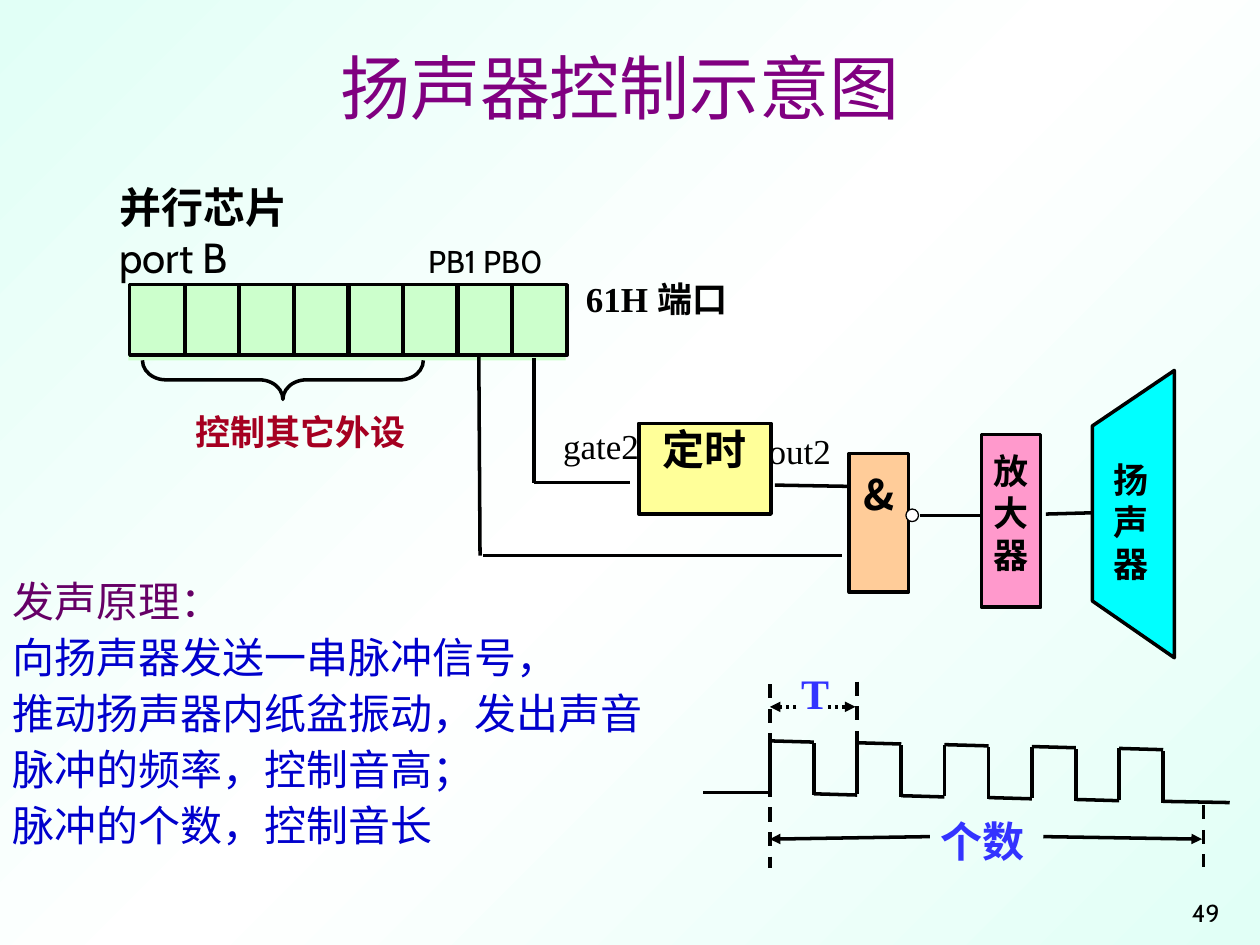
from copy import deepcopy

from lxml.etree import SubElement
from pptx import Presentation
from pptx.dml.color import RGBColor
from pptx.enum.dml import MSO_LINE
from pptx.enum.shapes import MSO_CONNECTOR, MSO_SHAPE
from pptx.enum.text import MSO_ANCHOR, PP_ALIGN
from pptx.oxml.ns import qn
from pptx.util import Inches, Pt

THEME = {
    "ink": "000000", "title": "800080", "heading": "660066", "body": "0000CC",
    "warning": "A50021", "signal": "3333FF", "port": "CCFFCC", "timer": "FFFF99",
    "gate": "FFCC99", "amplifier": "FF99CC", "speaker": "00FFFF", "white": "FFFFFF",
    "edge": "E1FFF6", "sans": "Cabin", "serif": "Times New Roman",
    "cjk": "Noto Sans CJK SC", "title_size": 40, "large": 24, "medium": 20,
    "small": 18, "number": 14, "stroke": 2, "thin": 0.75,
}

deck = Presentation()
deck.slide_width, deck.slide_height = Inches(10), Inches(7.5)
COL, ROW = deck.slide_width / 100, deck.slide_height / 75
slide = deck.slides.add_slide(deck.slide_layouts[6])

backdrop = slide.background.fill
backdrop.gradient()
backdrop.gradient_angle = 315
for stop, tone in zip(backdrop.gradient_stops, ("edge", "white")):
    stop.color.rgb = RGBColor.from_string(THEME[tone])
stop_list = next(slide.element.iter(qn("a:gsLst")))
stop_list.append(deepcopy(stop_list[0]))
for stop, position in zip(stop_list, (0, 50000, 100000)):
    stop.set("pos", str(position))


def place(box, text="", fill=None, stroke=None, font="serif", size="medium", color="ink",
          bold=False, align=PP_ALIGN.LEFT, insets=(0, 0), anchor=MSO_ANCHOR.TOP,
          kind=MSO_SHAPE.RECTANGLE, leading=None):
    left, top, width, height = box
    frame = (round(left * COL), round(top * ROW), round(width * COL), round(height * ROW))
    if fill or stroke:
        item = slide.shapes.add_shape(kind, *frame)
        item.shadow.inherit = False
        if fill:
            item.fill.solid()
            item.fill.fore_color.rgb = RGBColor.from_string(THEME[fill])
        else:
            item.fill.background()
        if stroke:
            item.line.color.rgb = RGBColor.from_string(THEME["ink"])
            item.line.width = Pt(THEME[stroke])
        else:
            item.line.fill.background()
    else:
        item = slide.shapes.add_textbox(*frame)
    if not text:
        return item
    words = item.text_frame
    words.text = text
    words.word_wrap = True
    words.vertical_anchor = anchor
    words.margin_left, words.margin_top = round(insets[0] * COL), round(insets[1] * ROW)
    words.margin_right = words.margin_bottom = 0
    for paragraph in words.paragraphs:
        paragraph.alignment = align
        if leading:
            paragraph.line_spacing = Pt(leading)
        for run in paragraph.runs:
            run.font.size, run.font.bold = Pt(THEME[size]), bold
            run.font.color.rgb = RGBColor.from_string(THEME[color])
            run.font.name = THEME[font]
            SubElement(run.font._element, qn("a:ea"), typeface=THEME["cjk"])
    return item


def wire(x1, y1, x2, y2, dash=None, arrow=False):
    link = slide.shapes.add_connector(MSO_CONNECTOR.STRAIGHT, round(x1 * COL), round(y1 * ROW),
                                      round(x2 * COL), round(y2 * ROW))
    link.line.color.rgb = RGBColor.from_string(THEME["ink"])
    link.line.width = Pt(THEME["stroke"])
    if dash:
        link.line.dash_style = dash
    if arrow:
        SubElement(link.line._get_or_add_ln(), qn("a:tailEnd"), type="triangle")
    SubElement(link._element.spPr, qn("a:effectLst"))


CENTER = PP_ALIGN.CENTER
place((74.2, 70.3, 22.6, 3.3), "49", font="sans", size="number",
      align=PP_ALIGN.RIGHT, anchor=MSO_ANCHOR.BOTTOM)
place((6.6, 4.1, 85.2, 6.1), "扬声器控制示意图", font="sans", size="title_size",
      color="title", align=CENTER, anchor=MSO_ANCHOR.BOTTOM)

place((10.2, 22.5, 34.7, 6.1), fill="port")
for bit in range(8):
    place((10.3 + 4.33 * bit, 22.6, 4.4, 5.6), stroke="stroke")
place((45.3, 22, 19.5, 6.8), "61H 端口", bold=True, insets=(1.2, 0))

place((50.7, 33.6, 10.5, 7.2), "定时", "timer", "stroke", size="large",
      bold=True, align=CENTER)
place((67.4, 36, 4.7, 11), "&", "gate", "stroke", font="cjk", size="large",
      bold=True, align=CENTER, insets=(0, 1.2))
place((77.9, 34.5, 4.7, 13.7), "放\n大\n器", "amplifier", "stroke", font="cjk",
      bold=True, align=CENTER, insets=(0, 1.2), leading=24)

outline = slide.shapes.build_freeform(round(93.2 * COL), round(29.4 * ROW))
outline.add_line_segments([(round(x * COL), round(y * ROW))
                           for x, y in ((86.7, 33.8), (86.7, 47.7), (93.2, 52.2))])
speaker = outline.convert_to_shape()
speaker.shadow.inherit = False
speaker.fill.solid()
speaker.fill.fore_color.rgb = RGBColor.from_string(THEME["speaker"])
speaker.line.color.rgb = RGBColor.from_string(THEME["ink"])
speaker.line.width = Pt(THEME["stroke"])
place((87.4, 34.4, 4.7, 16.6), "扬\n声\n器", font="cjk", bold=True, align=CENTER,
      insets=(0, 2), leading=24)

for ends in (
    (42.4, 28.4, 42.4, 38.3), (42.4, 38.3, 50, 38.3), (61.5, 38.5, 67.3, 38.6),
    (38, 28.3, 38.1, 44.1), (38.3, 44.1, 66.8, 44.1), (73, 40.9, 77.9, 40.9),
    (83, 40.8, 86.7, 40.7),
):
    wire(*ends)
place((71.9, 40.4, 1, 1), fill="white", stroke="thin", kind=MSO_SHAPE.OVAL)
place((43.5, 33.7, 9, 4.1), "gate2", insets=(1.2, 0))
place((59.8, 34.1, 8.2, 3.8), "out2", insets=(1.2, 0))

brace = place((20.9, 19, 3.1, 22.3), stroke="stroke", kind=MSO_SHAPE.RIGHT_BRACE)
brace.rotation = 90
brace.adjustments[0] = 0.6
place((11.8, 32.6, 24.1, 7.4), "控制其它外设", font="cjk", color="warning",
      bold=True, align=CENTER)

chip = place((8.5, 13.9, 41.7, 9), "并行芯片\nport B\tPB1 PB0", size="large",
             bold=True, insets=(1, 0.5))
port_line = chip.text_frame.paragraphs[1]
tab_stops = SubElement(port_line._p.get_or_add_pPr(), qn("a:tabLst"))
SubElement(tab_stops, qn("a:tab"), pos=str(round(24.5 * COL)), algn="l")
port_line.text = "port B\t"
pins = port_line.add_run()
pins.text = "PB1 PB0"
for run, size in zip(port_line.runs, ("large", "small")):
    run.font.name, run.font.size = THEME["sans"], Pt(THEME[size])
    run.font.color.rgb = RGBColor.from_string(THEME["ink"])

START, PERIOD, HALF, DRIFT = 61.1, 6.93, 3.5, 0.15
wire(55.8, 62.9, START, 62.9)
for pulse in range(5):
    rise = START + PERIOD * pulse
    fall = rise + HALF
    high, low = 58.8 + DRIFT * pulse, 62.9 + DRIFT * pulse
    low_end = 97.6 if pulse == 4 else rise + PERIOD
    wire(rise, high, rise, low)
    wire(rise, high, fall, high + 0.1)
    wire(fall, high + 0.2, fall, low + 0.2)
    wire(fall, low + 0.1, low_end, low + 0.2)

for x, top, bottom in ((START, 54.3, 68.9), (68, 54.1, 59), (95.5, 63.9, 68.8)):
    wire(x, top, x, bottom, MSO_LINE.DASH)
for tail, tip in ((63.2, START), (65.7, 67.9)):
    wire(tail, 56.1, tip, 56.1, MSO_LINE.ROUND_DOT, True)
for tail, tip in ((73.8, START), (82.8, 95.4)):
    wire(tail, 66.4, tip, 66.6, arrow=True)
for box, label in (((63.5, 53, 2.4, 5.2), "T"), ((73.4, 64.7, 9.2, 5.7), "个数")):
    place(box, label, size="large", color="signal", bold=True, align=CENTER)

principle = place((0, 45.6, 53.6, 24.2),
                  "发声原理：\n向扬声器发送一串脉冲信号，\n推动扬声器内纸盆振动，发出声音\n"
                  "脉冲的频率，控制音高；\n脉冲的个数，控制音长",
                  font="cjk", size="large", color="body", insets=(1, 0.5), leading=26)
for paragraph in principle.text_frame.paragraphs:
    paragraph.space_before = Pt(6)
heading = principle.text_frame.paragraphs[0].runs[0]
heading.font.color.rgb = RGBColor.from_string(THEME["heading"])

deck.save("out.pptx")
